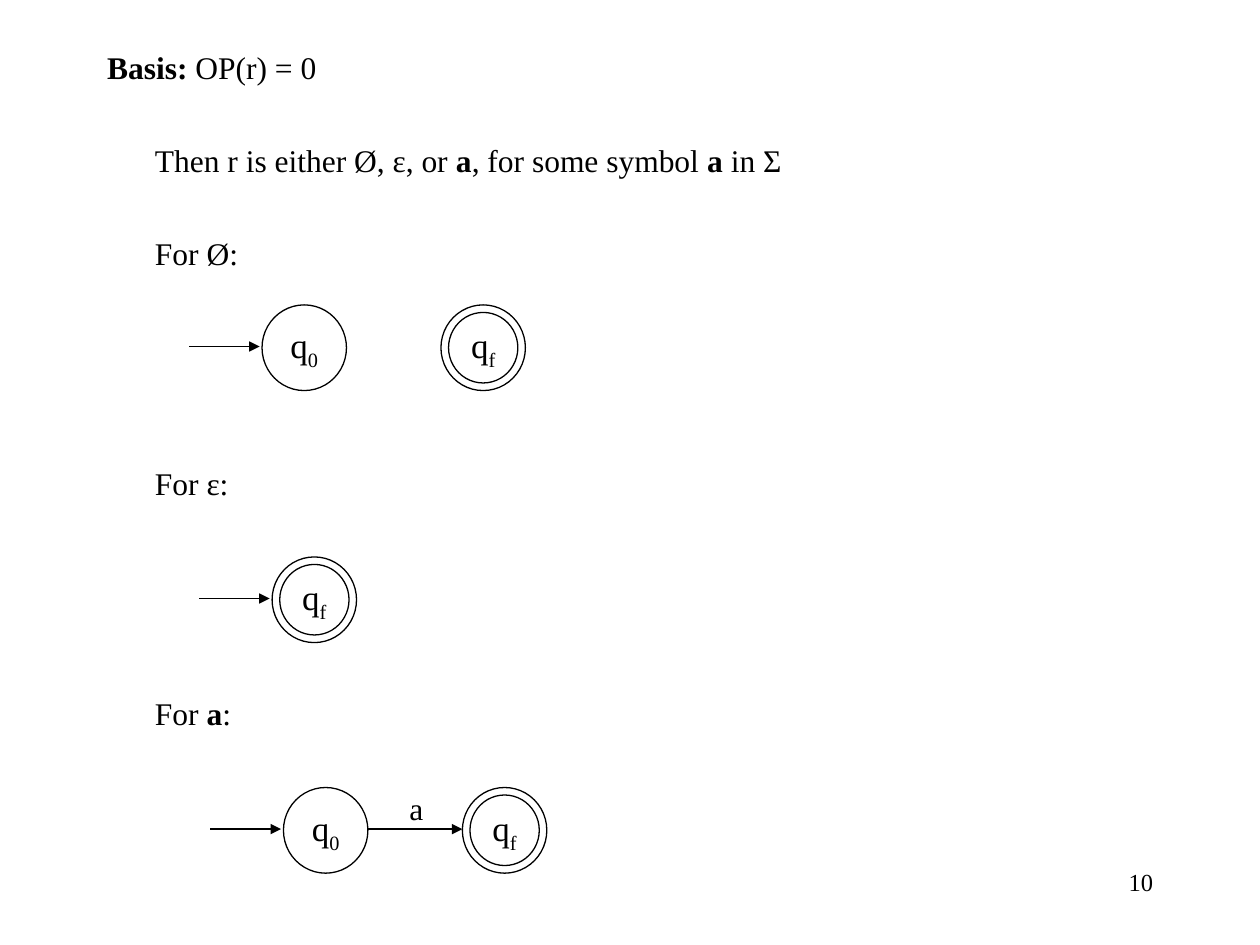
from dataclasses import dataclass

from lxml import etree
from pptx import Presentation
from pptx.dml.color import RGBColor
from pptx.enum.shapes import MSO_CONNECTOR, MSO_SHAPE
from pptx.enum.text import MSO_ANCHOR, MSO_AUTO_SIZE, PP_ALIGN
from pptx.oxml.ns import qn
from pptx.shapes.group import GroupShape
from pptx.slide import Slide
from pptx.text.text import TextFrame, _Paragraph
from pptx.util import Inches, Pt

OVAL = MSO_SHAPE.OVAL
STRAIGHT = MSO_CONNECTOR.STRAIGHT
MIDDLE = MSO_ANCHOR.MIDDLE
FIXED = MSO_AUTO_SIZE.NONE
CENTER, RIGHT = PP_ALIGN.CENTER, PP_ALIGN.RIGHT


@dataclass(frozen=True)
class Theme:
    font: str = "Times New Roman"
    ink: RGBColor = RGBColor(0, 0, 0)
    body: float = 18
    state: float = 20
    number: float = 14
    line: float = 0.75


@dataclass(frozen=True)
class Line:
    words: tuple[str, ...]  # plain and bold runs take turns, plain first
    gap: float
    indent: float = 0.38


@dataclass(frozen=True)
class State:
    sub: str
    final: bool = False


@dataclass(frozen=True)
class Machine:
    left: float
    top: float
    states: tuple[State, ...]
    label: str = ""


THEME = Theme()
NEAR, FAR = 31.5, 109.8
START, FINAL = State("0"), State("f", True)
WIDE, HIGH, RING = 0.67, 0.68, 0.06
ENTRY, REACH, STEP = 0.58, 0.56, 1.42

LINES = (
    Line(("", "Basis:", " OP(r) = 0"), 4.5, 0),
    Line(("Then r is either Ø, ε, or ", "a", ", for some symbol ", "a", " in Σ"), NEAR),
    Line(("For Ø:",), NEAR),
    Line(("For ε:",), FAR),
    Line(("For ", "a", ":"), FAR),
)
MACHINES = (
    Machine(1.5, 2.42, (START, FINAL)),
    Machine(1.58, 4.42, (FINAL,)),
    Machine(1.67, 6.25, (START, FINAL), "a"),
)


def style(para: _Paragraph, size: float) -> None:
    para.font.name = THEME.font
    para.font.size = Pt(size)
    para.font.color.rgb = THEME.ink


def add_body(slide: Slide) -> None:
    body = slide.placeholders[1]
    body.left, body.top = Inches(0.75), Inches(0.33)
    body.width, body.height = Inches(8.5), Inches(6.33)
    frame = body.text_frame
    frame.auto_size = FIXED
    for i, line in enumerate(LINES):
        para = frame.add_paragraph() if i else frame.paragraphs[0]
        style(para, THEME.body)
        para.space_before = Pt(line.gap)
        props = para._p.get_or_add_pPr()
        props.set("marL", str(Inches(line.indent)))
        props.set("indent", "0")
        # The bullet setting belongs before the default run properties.
        props.find(qn("a:defRPr")).addprevious(etree.Element(qn("a:buNone")))
        for k, words in enumerate(line.words):
            if words:
                run = para.add_run()
                run.text = words
                run.font.bold = k % 2 == 1


def add_arrow(group: GroupShape, left: float, y: float, length: float) -> None:
    arrow = group.shapes.add_connector(
        STRAIGHT, Inches(left), Inches(y), Inches(left + length), Inches(y))
    arrow.line.color.rgb = THEME.ink
    arrow.line.width = Pt(THEME.line)
    props = arrow._element.spPr
    etree.SubElement(props.find(qn("a:ln")), qn("a:tailEnd"), type="triangle")
    etree.SubElement(props, qn("a:effectLst"))


def add_ring(group: GroupShape, left: float, top: float, inset: float = 0) -> TextFrame:
    ring = group.shapes.add_shape(
        OVAL, Inches(left + inset), Inches(top + inset),
        Inches(WIDE - 2 * inset), Inches(HIGH - 2 * inset))
    ring.shadow.inherit = False
    ring.fill.background()
    ring.line.color.rgb = THEME.ink
    ring.line.width = Pt(THEME.line)
    return ring.text_frame


def add_state(group: GroupShape, state: State, left: float, top: float) -> None:
    frame = add_ring(group, left, top, RING if state.final else 0)
    frame.word_wrap = False
    frame.vertical_anchor = MIDDLE
    para = frame.paragraphs[0]
    para.alignment = CENTER
    style(para, THEME.state)
    para.add_run().text = "q"
    sub = para.add_run()
    sub.text = state.sub
    sub._r.get_or_add_rPr().set("baseline", "-25000")
    if state.final:
        add_ring(group, left, top)


def add_text(shapes, text: str, box: tuple[float, ...], size: float) -> TextFrame:
    frame = shapes.add_textbox(*map(Inches, box)).text_frame
    frame.text = text
    style(frame.paragraphs[0], size)
    return frame


def add_machine(slide: Slide, machine: Machine) -> None:
    group = slide.shapes.add_group_shape()
    y = machine.top + 0.33
    first = machine.left + ENTRY
    add_arrow(group, machine.left, y, REACH)
    for i, state in enumerate(machine.states):
        add_state(group, state, first + i * STEP, machine.top)
    if machine.label:
        add_arrow(group, first + WIDE, y, STEP - WIDE)
        box = (machine.left + 1.48, machine.top - 0.04, 0.31, 0.4)
        add_text(group.shapes, machine.label, box, THEME.body).word_wrap = False


def main() -> None:
    deck = Presentation()
    deck.slide_width, deck.slide_height = Inches(10), Inches(7.5)
    slide = deck.slides.add_slide(deck.slide_layouts[1])
    title = slide.shapes.title._element
    title.getparent().remove(title)
    add_body(slide)
    for machine in MACHINES:
        add_machine(slide, machine)
    number = add_text(slide.shapes, "10", (7.17, 6.83, 2.08, 0.5), THEME.number)
    number.word_wrap = True
    number.paragraphs[0].alignment = RIGHT
    deck.save("out.pptx")


if __name__ == "__main__":
    main()
